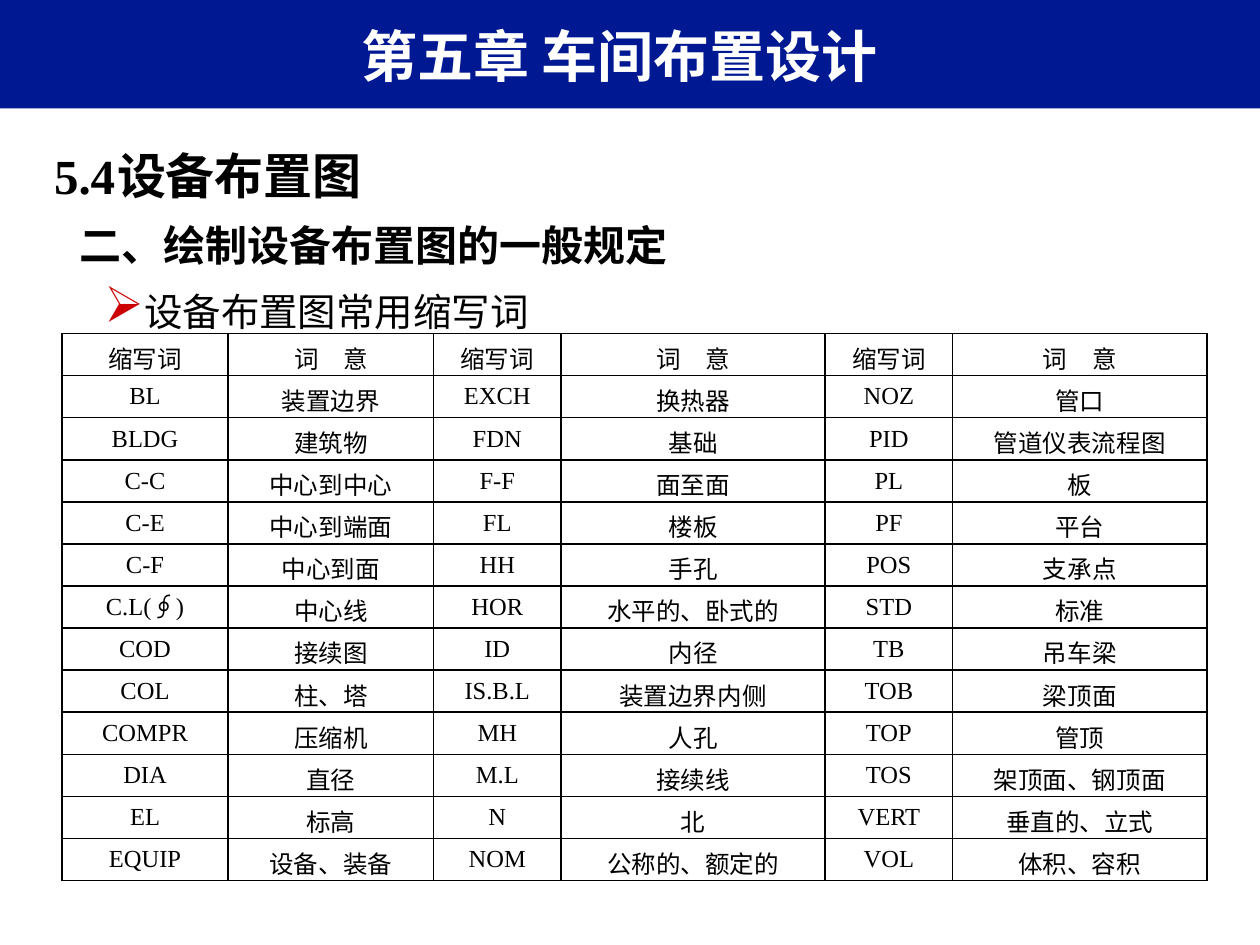
from dataclasses import dataclass
from typing import Optional

from pptx import Presentation, util as u
from pptx.dml.color import RGBColor
from pptx.enum import shapes, text
from pptx.oxml import parse_xml
from pptx.oxml.ns import nsdecls, qn

Pt = u.Pt
NAVY = RGBColor(0x01, 0x18, 0x93)
WHITE = RGBColor(0xFF, 0xFF, 0xFF)
BLACK = RGBColor(0, 0, 0)
RED = RGBColor(0xCC, 0, 0)
CJK, LATIN = "Noto Sans CJK SC", "Times New Roman"

COL_WIDTHS = (95, 117.4, 72.8, 151, 72.8, 145.4)
ROW_HEIGHT = 24
CELL_INSET = 3.6
ABBREVIATIONS = [
    ("缩写词", "词　意") * 3,
    ("BL", "装置边界", "EXCH", "换热器", "NOZ", "管口"),
    ("BLDG", "建筑物", "FDN", "基础", "PID", "管道仪表流程图"),
    ("C-C", "中心到中心", "F-F", "面至面", "PL", "板"),
    ("C-E", "中心到端面", "FL", "楼板", "PF", "平台"),
    ("C-F", "中心到面", "HH", "手孔", "POS", "支承点"),
    ("C.L(∮)", "中心线", "HOR", "水平的、卧式的", "STD", "标准"),
    ("COD", "接续图", "ID", "内径", "TB", "吊车梁"),
    ("COL", "柱、塔", "IS.B.L", "装置边界内侧", "TOB", "梁顶面"),
    ("COMPR", "压缩机", "MH", "人孔", "TOP", "管顶"),
    ("DIA", "直径", "M.L", "接续线", "TOS", "架顶面、钢顶面"),
    ("EL", "标高", "N", "北", "VERT", "垂直的、立式"),
    ("EQUIP", "设备、装备", "NOM", "公称的、额定的", "VOL", "体积、容积"),
]


@dataclass
class Heading:
    words: str
    size: float
    bold: bool = True
    margin: float = 0
    indent: float = 0
    before: float = 4
    level: int = 0
    tab: Optional[float] = None
    bullet: Optional[str] = None


HEADINGS = [
    Heading("5.4\t设备布置图", 28, before=0, tab=55.4),
    Heading("二、绘制设备布置图的一般规定", 24, margin=14.4),
    Heading("设备布置图常用缩写词", 22, bold=False, margin=51.1,
            indent=-22.3, level=1, bullet="➢"),
]


def write(p, words: str, *, size: float, font: str = CJK, color: RGBColor = BLACK,
          bold: bool = False, align=text.PP_ALIGN.LEFT) -> None:
    p.alignment = align
    r = p.add_run()
    r.text = words
    r.font.size, r.font.bold, r.font.name = Pt(size), bold, font
    r.font.color.rgb = color
    r.font._element.find(qn("a:latin")).addnext(
        parse_xml(f'<a:ea {nsdecls("a")} typeface="{CJK}"/>'))


def add_box(s, left: float, top: float, width: float, height: float):
    sp = s.shapes.add_textbox(Pt(left), Pt(top), Pt(width), Pt(height))
    sp.text_frame.word_wrap = True
    return sp.text_frame


def add_heading(p, h: Heading) -> None:
    p.level = h.level
    p.line_spacing, p.space_before = Pt(33), Pt(h.before)
    pPr = p._p.get_or_add_pPr()
    pPr.set("marL", str(Pt(h.margin)))
    pPr.set("indent", str(Pt(h.indent)))
    ns = nsdecls("a")
    if h.bullet:
        for xml in (f'<a:buClr {ns}><a:srgbClr val="{RED}"/></a:buClr>',
                    f'<a:buSzPct {ns} val="130000"/>',
                    f'<a:buChar {ns} char="{h.bullet}"/>'):
            pPr.append(parse_xml(xml))
    if h.tab:
        pPr.append(parse_xml(
            f'<a:tabLst {ns}><a:tab pos="{Pt(h.tab)}" algn="l"/></a:tabLst>'))
    write(p, h.words, size=h.size, font=LATIN, bold=h.bold)


def fill_cell(cell, words: str) -> None:
    latin = words[0].isascii()
    cell.vertical_anchor = text.MSO_ANCHOR.MIDDLE
    cell.margin_top = Pt(CELL_INSET)
    cell.margin_bottom = Pt(CELL_INSET if latin else 0)
    write(cell.text_frame.paragraphs[0], words, size=14,
          font=LATIN if latin else CJK, align=text.PP_ALIGN.CENTER)
    tcPr = cell._tc.get_or_add_tcPr()
    for side in ("lnL", "lnR", "lnT", "lnB"):
        tcPr.append(parse_xml(
            f'<a:{side} {nsdecls("a")} w="{Pt(1)}"><a:solidFill>'
            f'<a:srgbClr val="{BLACK}"/></a:solidFill></a:{side}>'))
    cell.fill.background()


def add_abbreviations(s, left: float, top: float) -> None:
    frame = s.shapes.add_table(
        len(ABBREVIATIONS), len(COL_WIDTHS), Pt(left), Pt(top),
        Pt(sum(COL_WIDTHS)), Pt(ROW_HEIGHT * len(ABBREVIATIONS)))
    table = frame.table
    table.first_row = table.horz_banding = False
    for column, width in zip(table.columns, COL_WIDTHS):
        column.width = Pt(width)
    for i, row in enumerate(ABBREVIATIONS):
        table.rows[i].height = Pt(ROW_HEIGHT)
        for j, words in enumerate(row):
            fill_cell(table.cell(i, j), words)


def main() -> None:
    prs = Presentation()
    prs.slide_width, prs.slide_height = Pt(720), Pt(540)
    s = prs.slides.add_slide(prs.slide_layouts[6])

    # Title band
    band = s.shapes.add_shape(shapes.MSO_SHAPE.RECTANGLE, 0, 0, Pt(720), Pt(62))
    band.shadow.inherit = False
    band.fill.solid()
    band.fill.fore_color.rgb = NAVY
    band.line.fill.background()

    # Section headings
    tf = add_box(s, 23.8, 77, 666, 425.5)
    tf.margin_top = Pt(7)
    for i, h in enumerate(HEADINGS):
        add_heading(tf.add_paragraph() if i else tf.paragraphs[0], h)

    # Chapter title
    tf = add_box(s, 28, 8.2, 652.4, 46.1)
    tf.margin_top = tf.margin_bottom = 0
    tf.vertical_anchor = text.MSO_ANCHOR.MIDDLE
    tf.auto_size = text.MSO_AUTO_SIZE.SHAPE_TO_FIT_TEXT
    write(tf.paragraphs[0], "第五章 车间布置设计", size=32, color=WHITE,
          bold=True, align=text.PP_ALIGN.CENTER)

    # Abbreviation table
    add_abbreviations(s, 35.4, 190.7)

    prs.save("out.pptx")


if __name__ == "__main__":
    main()
